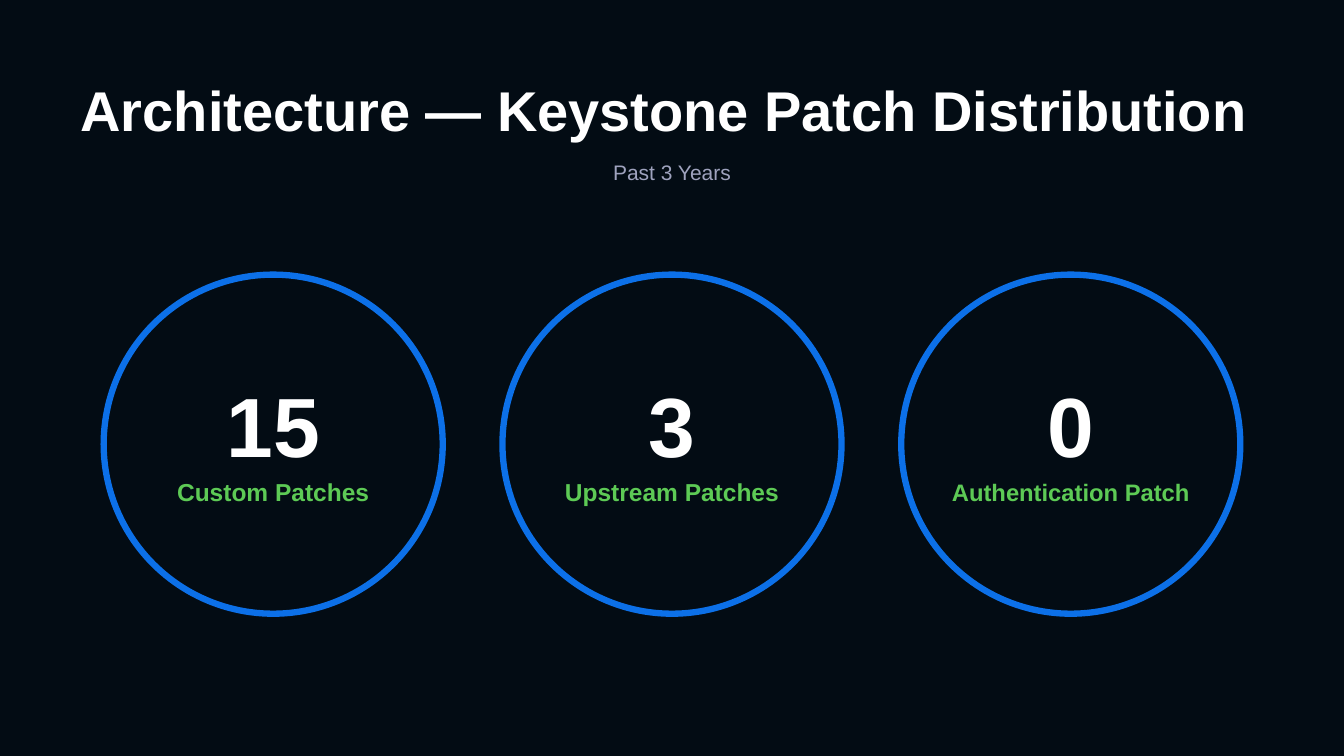
from dataclasses import dataclass

from pptx import Presentation
from pptx.dml.color import RGBColor as Rgb
from pptx.enum.shapes import MSO_SHAPE as Kind
from pptx.enum.text import MSO_ANCHOR as Anchor, PP_ALIGN as Align
from pptx.util import Cm, Pt


@dataclass(frozen=True)
class Theme:
    font: str = "Arial"
    back: Rgb = Rgb(0x03, 0x0C, 0x14)
    white: Rgb = Rgb(0xFF, 0xFF, 0xFF)
    grey: Rgb = Rgb(0x9F, 0xA3, 0xBE)
    blue: Rgb = Rgb(0x0C, 0x70, 0xE8)
    green: Rgb = Rgb(0x5D, 0xCA, 0x55)
    title: int = 80
    note: int = 30
    count: int = 120
    label: int = 35
    small: int = 34
    ring: int = 9


THEME = Theme()
WIDE, HIGH = 67.74, 38.1
MID = WIDE / 2
RING, PITCH = 17.09, 20.1
STATS = [
    ("15", "Custom Patches", THEME.label),
    ("3", "Upstream Patches", THEME.label),
    ("0", "Authentication Patch", THEME.small),
]


def add_text(slide, text, mid, top, width, height, size, color, bold=True):
    """Add one line of text centred on the x position mid."""
    box = slide.shapes.add_textbox(
        Cm(mid - width / 2), Cm(top), Cm(width), Cm(height))
    frame = box.text_frame
    form = {"word_wrap": True, "vertical_anchor": Anchor.MIDDLE,
            "margin_left": 0, "margin_right": 0,
            "margin_top": 0, "margin_bottom": 0}
    for name, value in form.items():
        setattr(frame, name, value)
    para = frame.paragraphs[0]
    para.alignment = Align.CENTER
    run = para.add_run()
    run.text = text
    style = {"name": THEME.font, "size": Pt(size), "bold": bold}
    for name, value in style.items():
        setattr(run.font, name, value)
    run.font.color.rgb = color
    return para


def add_ring(slide, mid):
    ring = slide.shapes.add_shape(
        Kind.OVAL, Cm(mid - RING / 2), Cm(13.84), Cm(RING), Cm(RING))
    ring.shadow.inherit = False
    ring.fill.background()
    ring.line.color.rgb = THEME.blue
    ring.line.width = Pt(THEME.ring)


def add_stat(slide, mid, count, label, size):
    """Add a ring with a count and its label inside."""
    add_ring(slide, mid)
    add_text(slide, count, mid, 18.77, 13.9, 5.16, THEME.count, THEME.white)
    para = add_text(slide, label, mid, 24.13, 12, 1.5, size, THEME.green)
    para.line_spacing = 0.9


def main():
    deck = Presentation()
    deck.slide_width, deck.slide_height = Cm(WIDE), Cm(HIGH)
    slide = deck.slides.add_slide(deck.slide_layouts[6])
    fill = slide.background.fill
    fill.solid()
    fill.fore_color.rgb = THEME.back

    add_text(slide, "Architecture — Keystone Patch Distribution ",
             MID, 3.71, 59.94, 3.53, THEME.title, THEME.white)
    add_text(slide, "Past 3 Years",
             MID, 7.75, 59.94, 1.83, THEME.note, THEME.grey, bold=False)
    for spot, stat in enumerate(STATS):
        add_stat(slide, MID + (spot - 1) * PITCH, *stat)
    deck.save("out.pptx")


if __name__ == "__main__":
    main()
